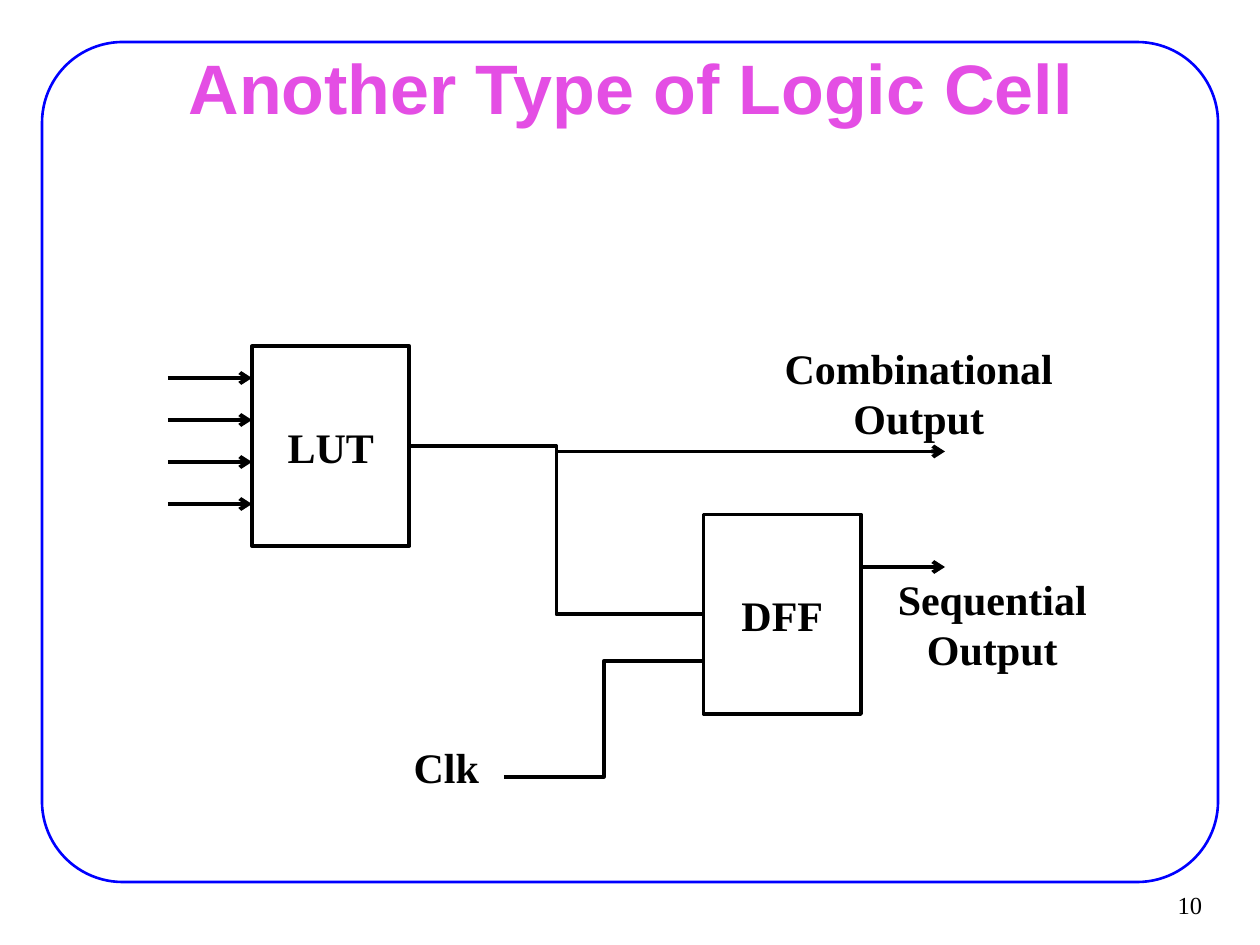
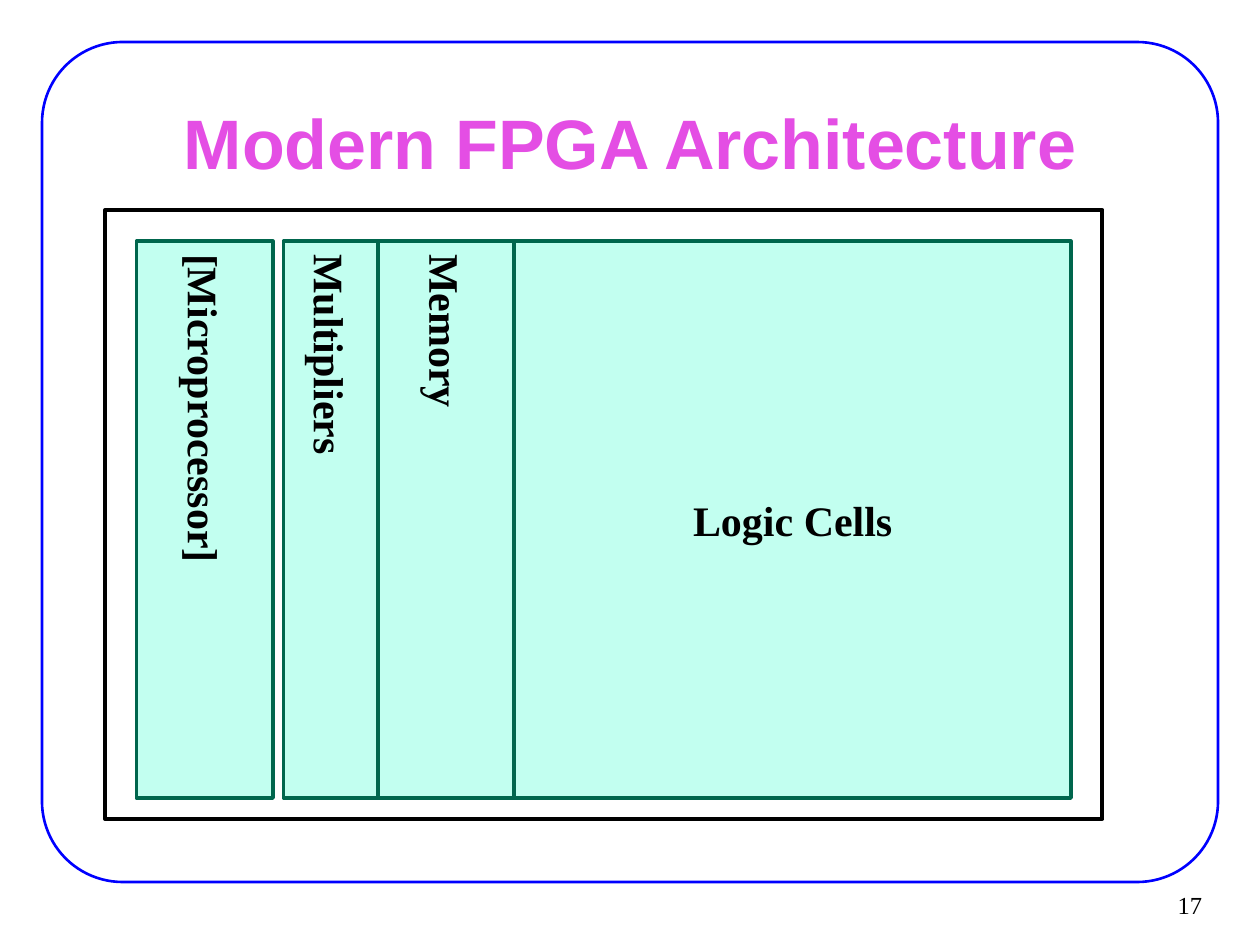
from dataclasses import dataclass

from lxml import etree
from pptx import Presentation
from pptx.dml.color import RGBColor
from pptx.enum.shapes import MSO_CONNECTOR, MSO_SHAPE
from pptx.enum.text import MSO_ANCHOR, PP_ALIGN
from pptx.oxml.ns import qn
from pptx.util import Pt

STRAIGHT, ELBOW = MSO_CONNECTOR.STRAIGHT, MSO_CONNECTOR.ELBOW
RECT, ROUNDED = MSO_SHAPE.RECTANGLE, MSO_SHAPE.ROUNDED_RECTANGLE
CENTER, RIGHT = PP_ALIGN.CENTER, PP_ALIGN.RIGHT
TOP, MIDDLE = MSO_ANCHOR.TOP, MSO_ANCHOR.MIDDLE
LEFT_SITE, RIGHT_SITE = 1, 3
BLANK_LAYOUT = 6


@dataclass(frozen=True)
class Theme:
    ink: str = "000000"
    paper: str = "FFFFFF"
    frame: str = "0000FF"
    title: str = "E44EE4"
    region_fill: str = "C2FFF0"
    region_line: str = "00664D"
    title_font: str = "Arial"
    body_font: str = "Times New Roman"
    title_size: float = 40
    label_size: float = 24
    number_size: float = 14
    frame_width: float = 1.5
    line_width: float = 2.25


THEME = Theme()


def color(code):
    return RGBColor.from_string(code)


def points(lengths):
    return [Pt(length) for length in lengths]


def write(shape, text, size=THEME.label_size, font=THEME.body_font, ink=THEME.ink,
          bold=True, align=CENTER, anchor=MIDDLE, insets=(7.2, 3.6), vertical=False):
    """Fill a shape with one paragraph; insets are (sides, top and bottom)."""
    frame = shape.text_frame
    frame.word_wrap = True
    frame.vertical_anchor = anchor
    frame.margin_left = frame.margin_right = Pt(insets[0])
    frame.margin_top = frame.margin_bottom = Pt(insets[1])
    if vertical:
        frame._txBody.bodyPr.set("vert", "eaVert")
    paragraph = frame.paragraphs[0]
    paragraph.alignment = align
    run = paragraph.add_run()
    run.text = text
    run.font.name = font
    run.font.size = Pt(size)
    run.font.bold = bold
    run.font.color.rgb = color(ink)


def add_label(slide, box, text, **style):
    write(slide.shapes.add_textbox(*points(box)), text, **style)


def add_block(slide, box, kind=RECT, fill=THEME.paper, line=THEME.ink,
              width=THEME.line_width):
    block = slide.shapes.add_shape(kind, *points(box))
    block.shadow.inherit = False
    if fill:
        block.fill.solid()
        block.fill.fore_color.rgb = color(fill)
    else:
        block.fill.background()
    block.line.color.rgb = color(line)
    block.line.width = Pt(width)
    return block


def add_wire(slide, start, end, kind=STRAIGHT, arrow=False):
    wire = slide.shapes.add_connector(kind, *points(start + end))
    wire.line.color.rgb = color(THEME.ink)
    wire.line.width = Pt(THEME.line_width)
    if arrow:
        head = etree.SubElement(wire.line._get_or_add_ln(), qn("a:tailEnd"))
        head.set("type", "arrow")
    etree.SubElement(wire._element.spPr, qn("a:effectLst"))
    return wire


def add_slide(deck, title, title_box, number):
    """Add a slide with the shared frame, title and page number."""
    slide = deck.slides.add_slide(deck.slide_layouts[BLANK_LAYOUT])
    frame = add_block(slide, (24, 24, 672, 480), ROUNDED, fill=None,
                      line=THEME.frame, width=THEME.frame_width)
    frame.adjustments[0] = 0.096
    add_label(slide, title_box, title, size=THEME.title_size,
              font=THEME.title_font, ink=THEME.title, insets=(8, 4))
    add_label(slide, (649.5, 503.5, 44, 26.5), str(number), size=THEME.number_size,
              bold=False, align=RIGHT, insets=(6.5, 3))
    return slide


def build_logic_cell(deck):
    slide = add_slide(deck, "Another Type of Logic Cell", (54.5, 31.5, 612, 35.5), 10)
    lut = add_block(slide, (144, 198, 90, 114))
    write(lut, "LUT")
    dff = add_block(slide, (402, 294, 90, 114))
    write(dff, "DFF")

    lut_to_dff = add_wire(slide, (234, 255), (402, 351), ELBOW)
    lut_to_dff.begin_connect(lut, RIGHT_SITE)
    lut_to_dff.end_connect(dff, LEFT_SITE)
    for row in range(4):
        y = 216 + 24 * row
        add_wire(slide, (96, y), (144, y), arrow=True)
    add_wire(slide, (288, 444), (402, 378), ELBOW)
    add_wire(slide, (492, 324), (540, 324), arrow=True)
    add_wire(slide, (318, 258), (540, 258), arrow=True)

    for text, box in (
        ("Clk", (228, 420, 54, 36)),
        ("Combinational Output", (414, 192, 222, 65)),
        ("Sequential Output", (486, 324, 162, 65)),
    ):
        add_label(slide, box, text, anchor=TOP)


def build_architecture(deck):
    slide = add_slide(deck, "Modern FPGA Architecture", (54, 36, 612, 90), 17)
    add_block(slide, (60, 120, 570, 348))
    for text, left, width, vertical in (
        ("Multipliers", 162, 54, True),
        ("Memory", 216, 78, True),
        ("Logic Cells", 294, 318, False),
        ("[Microprocessor]", 78, 78, True),
    ):
        region = add_block(slide, (left, 138, width, 318),
                           fill=THEME.region_fill, line=THEME.region_line)
        write(region, text, vertical=vertical,
              insets=(3.6, 7.2) if vertical else (7.2, 3.6))


def main():
    deck = Presentation()
    deck.slide_width, deck.slide_height = Pt(720), Pt(540)
    build_logic_cell(deck)
    build_architecture(deck)
    deck.save("out.pptx")


if __name__ == "__main__":
    main()
